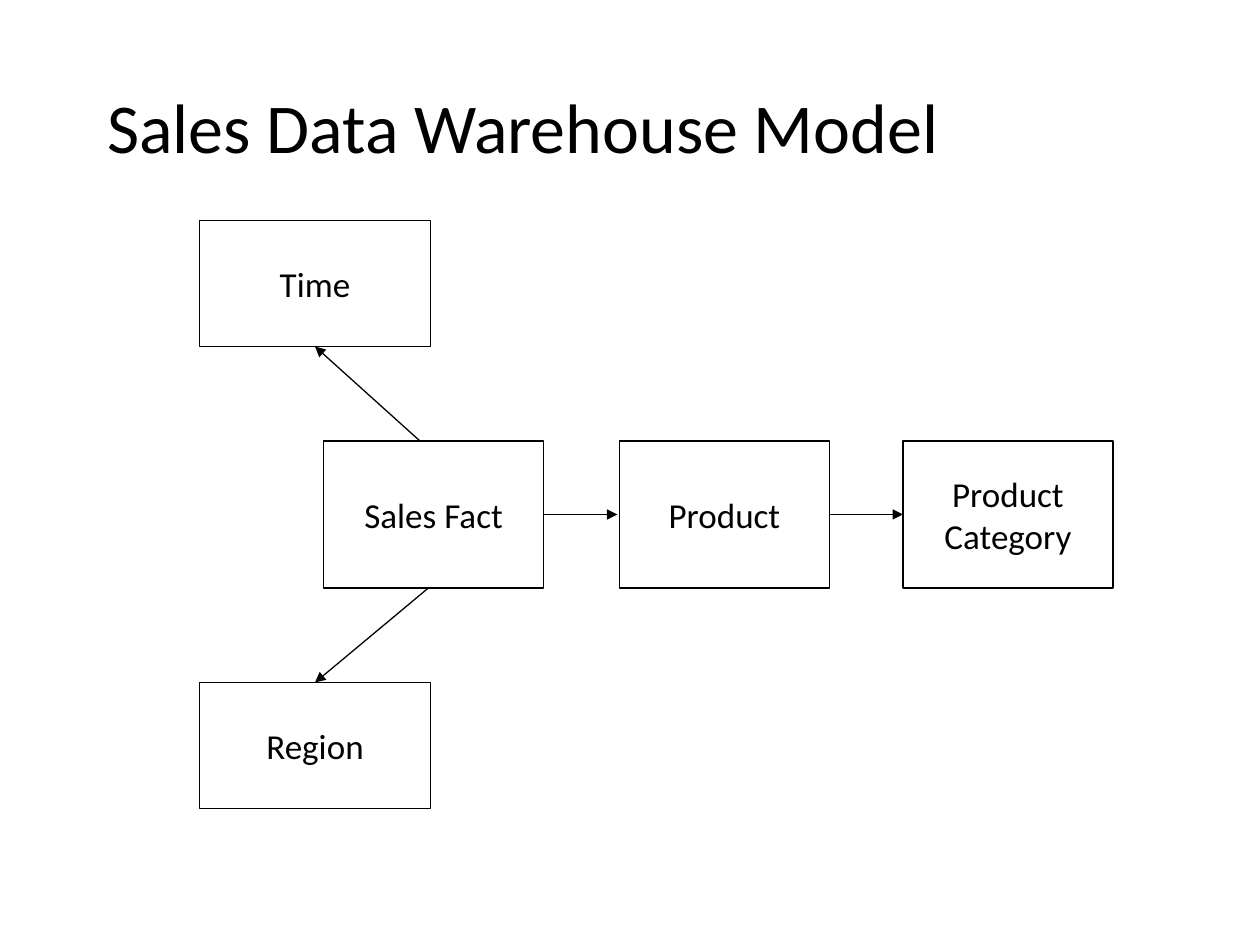
import pptx
import pptx.util
import pptx.dml.color
import pptx.enum.shapes
import pptx.enum.text
import pptx.oxml
import pptx.oxml.ns

COLORS = {"ink": "000000"}
FONT = "Calibri"
CELL = pptx.util.Inches(1) / 12
COLUMNS, ROWS = 120, 90

BOXES = [
    (["Sales Fact"], 30.8, 42, 21, 14),
    (["Region"], 19, 65, 22, 12),
    (["Product"], 59, 42, 20, 14),
    (["Product", "Category"], 86, 42, 20, 14),
    (["Time"], 19, 21, 22, 12),
]
ARROWS = [
    (40.8, 56, 30, 65),
    (51.8, 49, 58.8, 49),
    (79, 49, 86, 49),
    (40, 42, 30, 33),
]


def cells(*counts):
    return [round(count * CELL) for count in counts]


def ink():
    return pptx.dml.color.RGBColor.from_string(COLORS["ink"])


def add_run(para, text, size):
    run = para.add_run()
    run.text = text
    run.font.name = FONT
    run.font.size = pptx.util.Pt(size)
    run.font.color.rgb = ink()


def style_line(line):
    line.color.rgb = ink()
    line.width = pptx.util.Pt(0.75)


def set_title(page, text):
    title = page.shapes.title
    title.left, title.top, title.width, title.height = cells(9, 8, 102, 9)
    frame = title.text_frame
    frame.vertical_anchor = pptx.enum.text.MSO_ANCHOR.MIDDLE
    para = frame.paragraphs[0]
    para.alignment = pptx.enum.text.PP_ALIGN.LEFT
    para.line_spacing = 0.9
    add_run(para, text, 40)


def add_box(page, lines, left, top, width, height):
    box = page.shapes.add_shape(
        pptx.enum.shapes.MSO_SHAPE.RECTANGLE, *cells(left, top, width, height))
    box.shadow.inherit = False
    box.fill.background()
    style_line(box.line)
    frame = box.text_frame
    frame.word_wrap = False
    frame.vertical_anchor = pptx.enum.text.MSO_ANCHOR.MIDDLE
    for index, text in enumerate(lines):
        para = frame.add_paragraph() if index else frame.paragraphs[0]
        para.alignment = pptx.enum.text.PP_ALIGN.CENTER
        add_run(para, text, 20)


def add_arrow(page, start_x, start_y, end_x, end_y):
    arrow = page.shapes.add_connector(
        pptx.enum.shapes.MSO_CONNECTOR.STRAIGHT,
        *cells(start_x, start_y, end_x, end_y))
    style_line(arrow.line)
    tail = pptx.oxml.parse_xml(
        f'<a:tailEnd {pptx.oxml.ns.nsdecls("a")} type="triangle"/>')
    arrow.line._get_or_add_ln().append(tail)
    effects = pptx.oxml.parse_xml(
        f'<a:effectLst {pptx.oxml.ns.nsdecls("a")}/>')
    arrow._element.spPr.append(effects)


def main():
    deck = pptx.Presentation()
    deck.slide_width, deck.slide_height = cells(COLUMNS, ROWS)
    page = deck.slides.add_slide(deck.slide_layouts[5])
    set_title(page, "Sales Data Warehouse Model")
    for box in BOXES:
        add_box(page, *box)
    for arrow in ARROWS:
        add_arrow(page, *arrow)
    deck.save("out.pptx")


if __name__ == "__main__":
    main()
